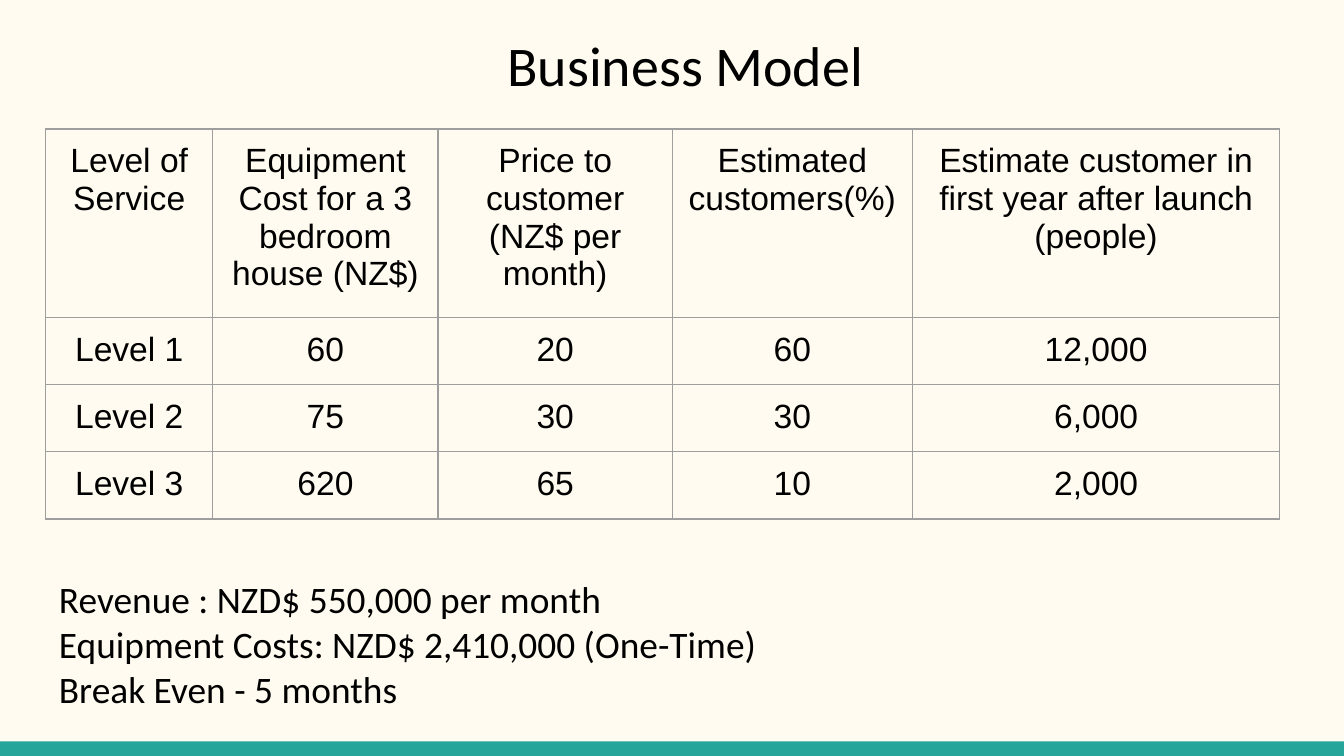
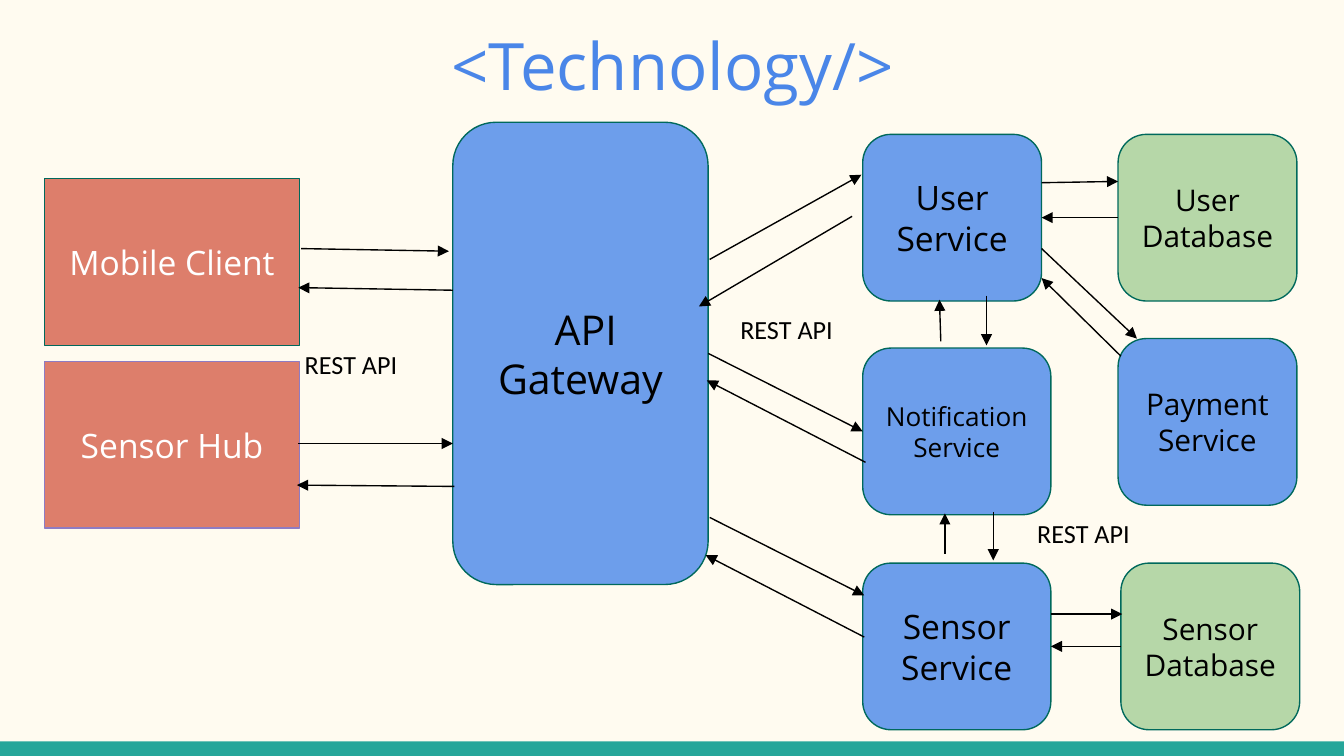
from lxml import etree
from pptx import Presentation
from pptx.dml.color import RGBColor
from pptx.enum.shapes import MSO_CONNECTOR, MSO_SHAPE
from pptx.enum.text import MSO_ANCHOR, PP_ALIGN
from pptx.oxml.ns import qn
from pptx.util import Pt

CENTER, LEFT = PP_ALIGN.CENTER, PP_ALIGN.LEFT
MIDDLE = MSO_ANCHOR.MIDDLE
RECTANGLE, ROUNDED = MSO_SHAPE.RECTANGLE, MSO_SHAPE.ROUNDED_RECTANGLE
STRAIGHT = MSO_CONNECTOR.STRAIGHT
LEFT_SIDE, RIGHT_SIDE = 1, 3

COLORS = {
    "page": "FFFBF0", "band": "26A69A", "text": "000000", "light": "FFFFFF",
    "title": "4A86E8", "client": "DD7E6B", "service": "6D9EEB",
    "database": "B6D7A8", "outline": "00695C", "violet": "8E7CC3",
    "grid": "9E9E9E",
}
BODY, TABLE_FONT, DIAGRAM = "Calibri", "Arial", "Open Sans"
WIDTH, HEIGHT, BAND_HEIGHT = 720, 405, 7.8
INSET, LINE_WIDTH = 7.2, 0.75

# A cell or box holds paragraphs split by "\n"; "\v" breaks a line inside one.
PRICING = [
    ("Level of Service", "Equipment Cost for a 3 bedroom house (NZ$)",
     "Price to customer\v(NZ$ per month)", "Estimated customers(%)",
     "Estimate customer in first year after launch\n(people)"),
    ("Level 1", "60", "20", "60", "12,000"),
    ("Level 2", "75", "30", "30", "6,000"),
    ("Level 3", "620", "65", "10", "2,000"),
]
COLUMN_WIDTHS = (89.5, 120.7, 125.5, 128.6, 196.9)
ROW_HEIGHTS = (94.8, 34.6, 34.6, 34.6)
SUMMARY = ("Revenue : NZD$ 550,000 per month\n"
           "Equipment Costs: NZD$ 2,410,000 (One-Time)\n"
           "Break Even - 5 months")

CLIENT_X, GATEWAY_X, SERVICE_X, STORE_X = 23.8, 242.6, 462.2, 599
TOP_ROW, BOTTOM_ROW = 72, 301.7
BOX_HEIGHT = 89.3
# text, kind, left, top, width, height, text size
NODES = {
    "mobile": ("Mobile Client", "client", CLIENT_X, 95.8, 136.8, BOX_HEIGHT, 18),
    "hub": ("Sensor Hub", "client", CLIENT_X, 193.7, 136.8, BOX_HEIGHT, 18),
    "gateway": (" API Gateway", "service", GATEWAY_X, 65.5, 136.8, 247.7, 22),
    "user": ("User Service", "service", SERVICE_X, TOP_ROW, 95.8, BOX_HEIGHT, 18),
    "notification": ("Notification Service", "service",
                     SERVICE_X, 186.5, 100.8, BOX_HEIGHT, 14),
    "sensor": ("Sensor\nService", "service",
               SERVICE_X, BOTTOM_ROW, 100.8, BOX_HEIGHT, 18),
    "user_data": ("User Database", "database",
                  STORE_X, TOP_ROW, 95.8, BOX_HEIGHT, 16),
    "payment": ("Payment\nService", "service",
                STORE_X, 181.4, 95.8, BOX_HEIGHT, 16),
    "sensor_data": ("Sensor Database", "database",
                    600.5, BOTTOM_ROW, 95.8, BOX_HEIGHT, 16),
}
# start x, start y, end x, end y; the arrowhead is at the end
ARROWS = [
    # clients and gateway
    (161.3, 133.2, 240.5, 134.6), (242.6, 155.5, 159.8, 154.1),
    (159.8, 237.6, 242.6, 237.6), (243.4, 260.6, 159.1, 259.9),
    # gateway and services
    (380.2, 139, 461.5, 93.6), (456.5, 115.9, 374.4, 164.2),
    (463.7, 247.7, 378.7, 203.8),
    (380.2, 277.2, 463, 319), (463, 341.3, 378, 297.4),
    # service to service
    (528.5, 158.4, 528.5, 185), (504, 182.9, 503.3, 160.6),
    (532.1, 274.3, 532.1, 300.2), (506.2, 296.6, 506.2, 275),
    (558, 133.2, 609.1, 181.4), (600.5, 190.8, 558, 149),
    # services and databases
    (558, 97.9, 599, 97.2), (599, 116.6, 558, 116.6),
    (563, 329, 601.2, 329), (600.5, 346.3, 563, 346.3),
]
API_LABELS = [(389.5, 160.6), (156.2, 179.3), (548.6, 270)]


def rgb(name):
    return RGBColor.from_string(COLORS[name])


def write(frame, text, size, font, color="text", align=LEFT):
    frame.word_wrap = True
    for index, line in enumerate(text.split("\n")):
        para = frame.add_paragraph() if index else frame.paragraphs[0]
        para.alignment = align
        for part, piece in enumerate(line.split("\v")):
            if part:
                para.add_line_break()
            span = para.add_run()
            span.text = piece
            span.font.size = Pt(size)
            span.font.name = font
            span.font.color.rgb = rgb(color)


def set_insets(holder):
    """Give a text frame or table cell the same margin on all sides."""
    holder.margin_left = holder.margin_right = Pt(INSET)
    holder.margin_top = holder.margin_bottom = Pt(INSET)


def add_text(page, area, text, size, font, color="text", align=LEFT):
    box = page.shapes.add_textbox(*map(Pt, area))
    set_insets(box.text_frame)
    write(box.text_frame, text, size, font, color, align)


def add_block(page, preset, area, fill, outline=None):
    block = page.shapes.add_shape(preset, *map(Pt, area))
    block.shadow.inherit = False
    block.fill.solid()
    block.fill.fore_color.rgb = rgb(fill)
    if outline:
        block.line.color.rgb = rgb(outline)
        block.line.width = Pt(LINE_WIDTH)
    else:
        block.line.fill.background()
    return block


def add_page(deck, title, title_area, size, font, color):
    page = deck.slides.add_slide(deck.slide_layouts[6])
    add_block(page, RECTANGLE,
              (0, HEIGHT - BAND_HEIGHT, WIDTH, BAND_HEIGHT), "band")
    add_text(page, title_area, title, size, font, color, CENTER)
    return page


def outline_cell(cell):
    properties = cell._tc.get_or_add_tcPr()
    for index, side in enumerate(("lnL", "lnR", "lnT", "lnB")):
        line = etree.Element(qn("a:" + side), w=str(Pt(LINE_WIDTH)))
        fill = etree.SubElement(line, qn("a:solidFill"))
        etree.SubElement(fill, qn("a:srgbClr"), val=COLORS["grid"])
        properties.insert(index, line)


def add_pricing_table(page, left, top):
    table = page.shapes.add_table(
        len(PRICING), len(COLUMN_WIDTHS), Pt(left), Pt(top),
        Pt(sum(COLUMN_WIDTHS)), Pt(sum(ROW_HEIGHTS))).table
    table.first_row = table.horz_banding = False
    for column, width in zip(table.columns, COLUMN_WIDTHS):
        column.width = Pt(width)
    for row, height, texts in zip(table.rows, ROW_HEIGHTS, PRICING):
        row.height = Pt(height)
        for cell, text in zip(row.cells, texts):
            set_insets(cell)
            cell.fill.background()
            outline_cell(cell)
            write(cell.text_frame, text, 18, TABLE_FONT, align=CENTER)


def add_node(page, text, kind, left, top, width, height, size, outline):
    client = kind == "client"
    node = add_block(page, RECTANGLE if client else ROUNDED,
                     (left, top, width, height), kind, outline)
    if not client:
        node.adjustments[0] = 0.17
    set_insets(node.text_frame)
    node.text_frame.vertical_anchor = MIDDLE
    write(node.text_frame, text, size, DIAGRAM,
          "light" if client else "text", CENTER)
    return node


def add_arrow(page, points):
    arrow = page.shapes.add_connector(STRAIGHT, *map(Pt, points))
    arrow.line.color.rgb = rgb("text")
    arrow.line.width = Pt(LINE_WIDTH)
    etree.SubElement(arrow.line._get_or_add_ln(), qn("a:tailEnd"), type="triangle")
    etree.SubElement(arrow._element.spPr, qn("a:effectLst"))
    return arrow


def build_business_model(deck):
    page = add_page(deck, "Business Model", (31.7, 9.4, 671, 48.2),
                    30, BODY, "text")
    add_pricing_table(page, 24.5, 69.1)
    add_text(page, (24.5, 301.7, 577.4, 90.7), SUMMARY, 20, BODY)


def build_technology(deck):
    page = add_page(deck, "<Technology/>", (205.2, 6.5, 310.3, 65.5),
                    35, DIAGRAM, "title")
    nodes = {}
    for name, node in NODES.items():
        outline = "violet" if name == "hub" else "outline"
        nodes[name] = add_node(page, *node, outline)
    for points in ARROWS:
        add_arrow(page, points)
    joined = add_arrow(page, (379.4, 189.4, 462.2, 231.1))
    joined.begin_connect(nodes["gateway"], RIGHT_SIDE)
    joined.end_connect(nodes["notification"], LEFT_SIDE)
    for left, top in API_LABELS:
        add_text(page, (left, top, 88.6, 34.6), "REST API", 14, BODY)


def main():
    deck = Presentation()
    deck.slide_width, deck.slide_height = Pt(WIDTH), Pt(HEIGHT)
    background = deck.slide_master.background.fill
    background.solid()
    background.fore_color.rgb = rgb("page")
    build_business_model(deck)
    build_technology(deck)
    deck.save("out.pptx")


if __name__ == "__main__":
    main()
